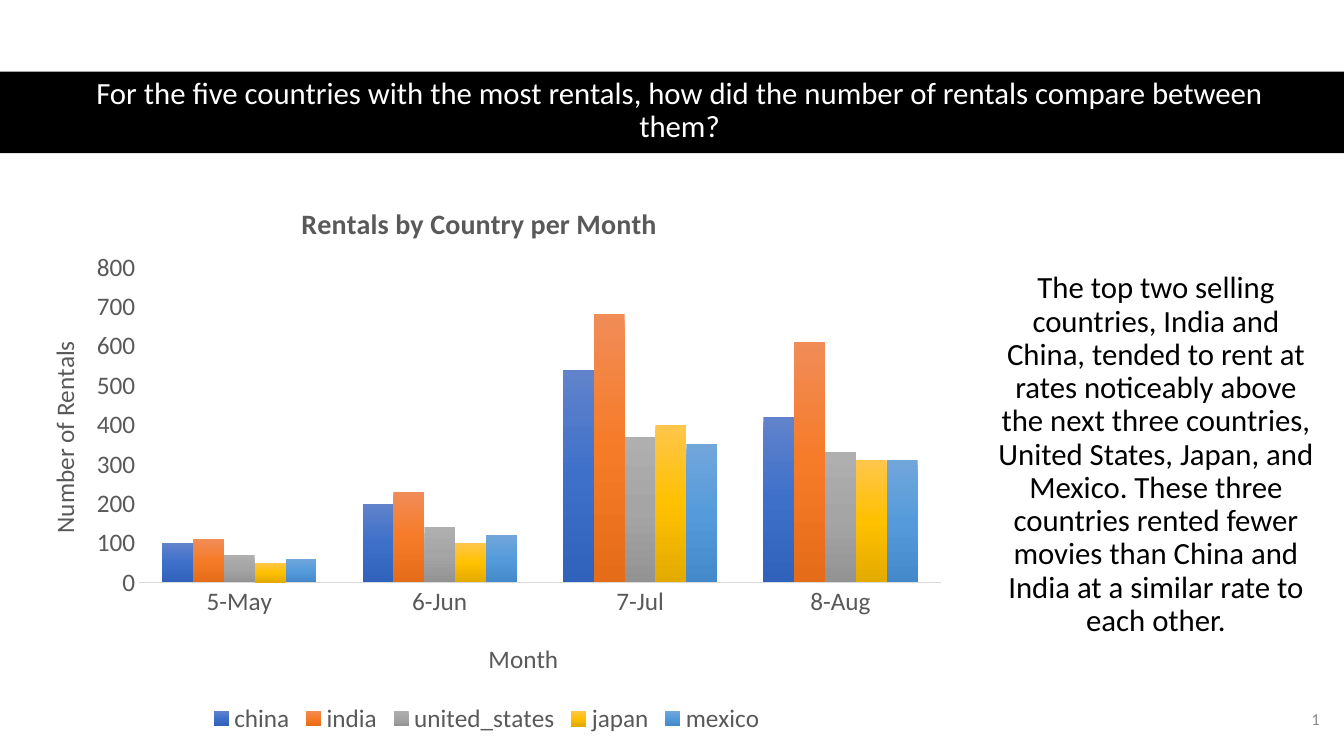
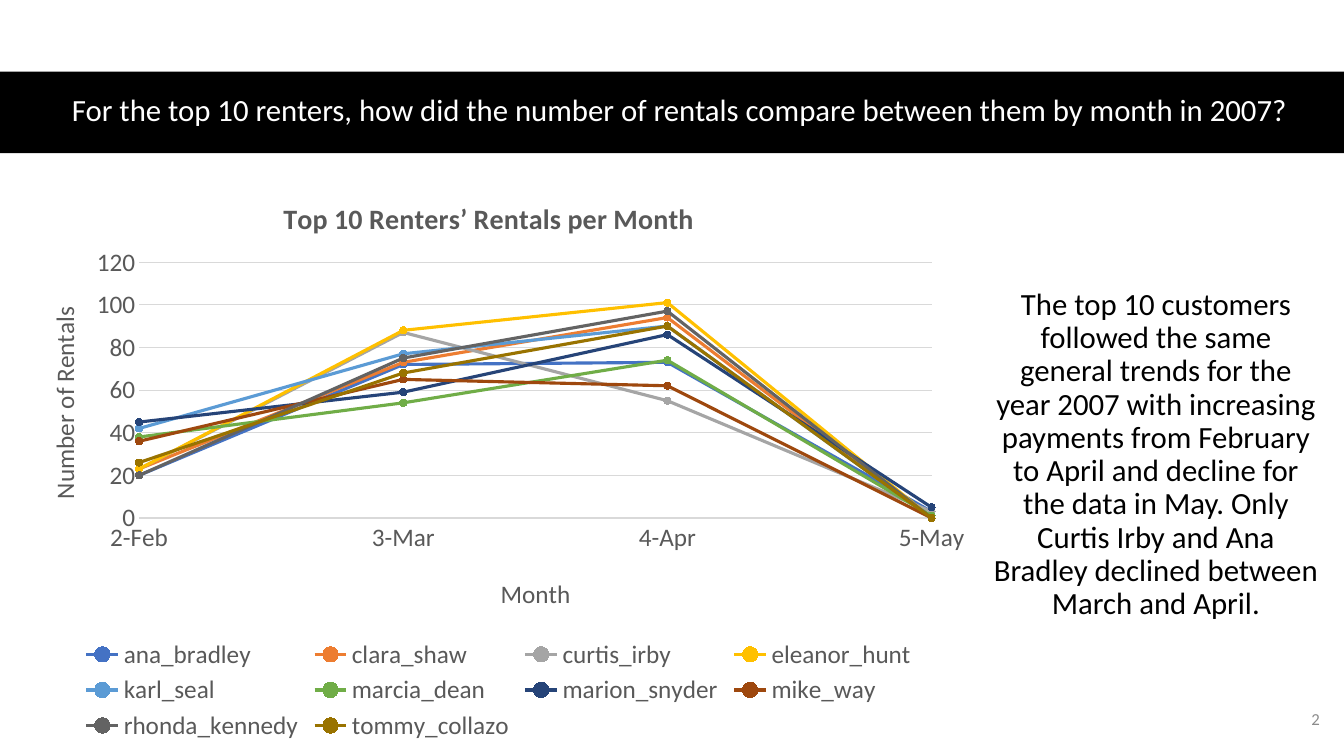
from copy import deepcopy
from dataclasses import dataclass

from pptx import Presentation
from pptx.chart.data import CategoryChartData
from pptx.dml.color import RGBColor
from pptx.enum.chart import XL_CHART_TYPE, XL_LEGEND_POSITION, XL_MARKER_STYLE, XL_TICK_MARK
from pptx.enum.shapes import MSO_SHAPE
from pptx.enum.text import MSO_ANCHOR, MSO_AUTO_SIZE, PP_ALIGN
from pptx.oxml import parse_xml
from pptx.oxml.ns import nsdecls, qn
from pptx.util import Inches, Pt

COLUMNS = XL_CHART_TYPE.COLUMN_CLUSTERED
LINES = XL_CHART_TYPE.LINE_MARKERS
BOTTOM = XL_LEGEND_POSITION.BOTTOM
CIRCLE = XL_MARKER_STYLE.CIRCLE
NO_TICK = XL_TICK_MARK.NONE
RECTANGLE = MSO_SHAPE.RECTANGLE
MIDDLE = MSO_ANCHOR.MIDDLE
NO_FIT = MSO_AUTO_SIZE.NONE
CENTER, RIGHT = PP_ALIGN.CENTER, PP_ALIGN.RIGHT


@dataclass(frozen=True)
class Theme:
    font: str = "Calibri"
    black: str = "000000"
    white: str = "FFFFFF"
    label: str = "595959"
    rule: str = "D9D9D9"
    number: str = "8C8C8C"
    text_size: int = 22
    chart_title_size: int = 20
    chart_size: int = 18
    number_size: int = 12


THEME = Theme()

BAND = (0, 0.71, 13.33, 0.81)
TITLE = (0.61, 0.7, 12.26, 0.81)
COMMENT = (9.75, 1.53, 3.43, 5.97)
NUMBER = (10.19, 6.93, 3, 0.4)

SLIDES = [
    {
        "title": "For the five countries with the most rentals, how did the number "
                 "of rentals compare between them?",
        "comment": "The top two selling countries, India and China, tended to rent at rates "
                   "noticeably above the next three countries, United States, Japan, and Mexico. "
                   "These three countries rented fewer movies than China and India at a similar "
                   "rate to each other.",
        "kind": COLUMNS,
        "chart_title": "Rentals by Country per Month",
        "frame": (0.14, 1.74, 9.37, 5.59),
        "plot": (1.38, 2.65, 7.95, 3.13),
        "title_at": (2.94, 1.97),
        "month_at": (4.8, 6.32),
        "rentals_at": (0.42, 3.34),
        "scale": (800, 100),
        "axis_width": 1,
        "months": ["5-May", "6-Jun", "7-Jul", "8-Aug"],
        "series": [
            ("china", (100, 200, 540, 420), ("6183CB", "3E70CA", "3062BB")),
            ("india", (110, 230, 680, 610), ("F18C57", "F67B28", "E56C19")),
            ("united_states", (70, 140, 370, 330), ("AFAFAF", "A5A5A5", "939393")),
            ("japan", (50, 100, 400, 310), ("FFC64B", "FFC000", "E3AB00")),
            ("mexico", (60, 120, 350, 310), ("71A6DB", "559BDB", "448ACA")),
        ],
    },
    {
        "title": "For the top 10 renters, how did the number of rentals compare between "
                 "them by month in 2007?",
        "comment": "The top 10 customers followed the same general trends for the year 2007 "
                   "with increasing payments from February to April and decline for the data "
                   "in May. Only Curtis Irby and Ana Bradley declined between March and April.",
        "kind": LINES,
        "chart_title": "Top 10 Renters’ Rentals per Month",
        "frame": (0.14, 1.69, 9.61, 5.71),
        "plot": (1.38, 2.6, 7.86, 2.54),
        "title_at": (2.76, 1.92),
        "month_at": (4.92, 5.67),
        "rentals_at": (0.42, 3),
        "scale": (120, 20),
        "axis_width": 0.75,
        "months": ["2-Feb", "3-Mar", "4-Apr", "5-May"],
        "series": [
            ("ana_bradley", (20, 72, 73, 3), "4472C4"),
            ("clara_shaw", (23, 73, 94, 0), "ED7D31"),
            ("curtis_irby", (23, 87, 55, 3), "A5A5A5"),
            ("eleanor_hunt", (23, 88, 101, 0), "FFC000"),
            ("karl_seal", (42, 77, 90, 0), "5B9BD5"),
            ("marcia_dean", (38, 54, 74, 1), "70AD47"),
            ("marion_snyder", (45, 59, 86, 5), "264478"),
            ("mike_way", (36, 65, 62, 0), "9E480E"),
            ("rhonda_kennedy", (20, 75, 97, 0), "636363"),
            ("tommy_collazo", (26, 68, 90, 0), "997300"),
        ],
    },
]


def inches(place):
    return [Inches(length) for length in place]


def paint(fill, color):
    fill.solid()
    fill.fore_color.rgb = RGBColor.from_string(color)


def style_font(font, size, color, bold=False):
    font.name = THEME.font
    font.size = Pt(size)
    font.bold = bold
    font.color.rgb = RGBColor.from_string(color)


def format_box(box, size, color, align):
    frame = box.text_frame
    frame.word_wrap = True
    frame.auto_size = NO_FIT
    frame.vertical_anchor = MIDDLE
    para = frame.paragraphs[0]
    para.alignment = align
    style_font(para.font, size, color)
    return para


def write_text(box, text, color):
    box.text_frame.text = text
    para = format_box(box, THEME.text_size, color, CENTER)
    para.line_spacing = 0.9
    para.space_after = Pt(6)


def add_band(page):
    band = page.shapes.add_shape(RECTANGLE, *inches(BAND))
    band.shadow.inherit = False
    paint(band.fill, THEME.black)
    band.line.fill.background()
    page.shapes.title._element.addprevious(band._element)


def add_number(page, number):
    box = page.shapes.add_textbox(*inches(NUMBER))
    para = format_box(box, THEME.number_size, THEME.number, RIGHT)
    field = parse_xml(
        f'<a:fld {nsdecls("a")} id="{{B6F15528-21DE-4FAA-801E-634DDDAF4B2B}}" type="slidenum">'
        f'<a:rPr lang="en-US" sz="{THEME.number_size * 100}"><a:solidFill>'
        f'<a:srgbClr val="{THEME.number}"/></a:solidFill><a:latin typeface="{THEME.font}"/>'
        f'</a:rPr><a:t>{number}</a:t></a:fld>')
    para._p.append(field)


def place_part(element, frame, place):
    old = element.find(qn("c:layout"))
    if old is not None:
        element.remove(old)
    left, top, width, height = frame
    shares = [(place[0] - left) / width, (place[1] - top) / height]
    if len(place) == 4:
        shares += [place[2] / width, place[3] / height]
    target = '<c:layoutTarget val="inner"/>' if len(place) == 4 else ""
    modes = '<c:xMode val="edge"/><c:yMode val="edge"/>'
    values = "".join(f'<c:{name} val="{share:.4f}"/>' for name, share in zip("xywh", shares))
    layout = parse_xml(f'<c:layout {nsdecls("c")}><c:manualLayout>{target}{modes}{values}'
                       '</c:manualLayout></c:layout>')
    element.insert(1 if element[0].tag == qn("c:tx") else 0, layout)


def write_chart_title(title, text, size, frame, place, bold=False):
    title.text_frame.text = text
    style_font(title.text_frame.paragraphs[0].font, size, THEME.label, bold)
    place_part(title._element, frame, place)


def fill_column(series, colors):
    fill = series.format.fill
    fill.gradient()
    fill.gradient_angle = 270
    stop_list = series._element.find(".//" + qn("a:gsLst"))
    stop_list.append(deepcopy(stop_list[0]))
    for stop, position, color in zip(fill.gradient_stops, (0, 0.5, 1), colors):
        stop.position = position
        stop.color.rgb = RGBColor.from_string(color)


def draw_line(series, color):
    series.smooth = False
    series.format.line.width = Pt(2.25)
    paint(series.format.line.fill, color)
    series.marker.style = CIRCLE
    series.marker.size = 5
    paint(series.marker.format.fill, color)
    paint(series.marker.format.line.fill, color)


def format_axes(chart, content):
    frame = content["frame"]
    months, rentals = chart.category_axis, chart.value_axis
    for axis, text, place in ((months, "Month", content["month_at"]),
                              (rentals, "Number of Rentals", content["rentals_at"])):
        axis.major_tick_mark = axis.minor_tick_mark = NO_TICK
        style_font(axis.tick_labels.font, THEME.chart_size, THEME.label)
        write_chart_title(axis.axis_title, text, THEME.chart_size, frame, place)
    turned = rentals.axis_title._element.find(".//" + qn("a:bodyPr"))
    turned.set("rot", "-5400000")
    turned.set("vert", "horz")
    months.format.line.width = Pt(content["axis_width"])
    paint(months.format.line.fill, THEME.rule)
    rentals.format.line.fill.background()
    rentals.minimum_scale = 0
    rentals.maximum_scale, rentals.major_unit = content["scale"]
    rentals.has_major_gridlines = content["kind"] == LINES
    if rentals.has_major_gridlines:
        grid = rentals.major_gridlines.format.line
        grid.width = Pt(0.75)
        paint(grid.fill, THEME.rule)
        crossing = parse_xml(f'<c:crossBetween {nsdecls("c")} val="midCat"/>')
        rentals._element.xpath("c:crosses | c:crossAx")[-1].addnext(crossing)


def add_rentals_chart(page, content):
    frame = content["frame"]
    data = CategoryChartData()
    data.categories = content["months"]
    for name, values, _ in content["series"]:
        data.add_series(name, values)
    chart = page.shapes.add_chart(content["kind"], *inches(frame), data).chart
    style_font(chart.font, THEME.chart_size, THEME.black)
    write_chart_title(chart.chart_title, content["chart_title"], THEME.chart_title_size,
                      frame, content["title_at"], bold=True)
    format_axes(chart, content)
    chart.has_legend = True
    chart.legend.position = BOTTOM
    chart.legend.include_in_layout = False
    style_font(chart.legend.font, THEME.chart_size, THEME.label)
    plot = chart.plots[0]
    plot.vary_by_categories = False
    if content["kind"] == COLUMNS:
        plot.gap_width = 150
        plot.overlap = 0
    color_series = fill_column if content["kind"] == COLUMNS else draw_line
    for series, (_, _, color) in zip(plot.series, content["series"]):
        color_series(series, color)
    place_part(chart._chartSpace.find(".//" + qn("c:plotArea")), frame, content["plot"])


def build_slide(deck, number, content):
    page = deck.slides.add_slide(deck.slide_layouts.get_by_name("Title Only"))
    title = page.shapes.title
    title.left, title.top, title.width, title.height = inches(TITLE)
    write_text(title, content["title"], THEME.white)
    add_band(page)
    write_text(page.shapes.add_textbox(*inches(COMMENT)), content["comment"], THEME.black)
    add_number(page, number)
    add_rentals_chart(page, content)


deck = Presentation()
deck.slide_width, deck.slide_height = Inches(13.33), Inches(7.5)
for number, content in enumerate(SLIDES, 1):
    build_slide(deck, number, content)
deck.save("out.pptx")
